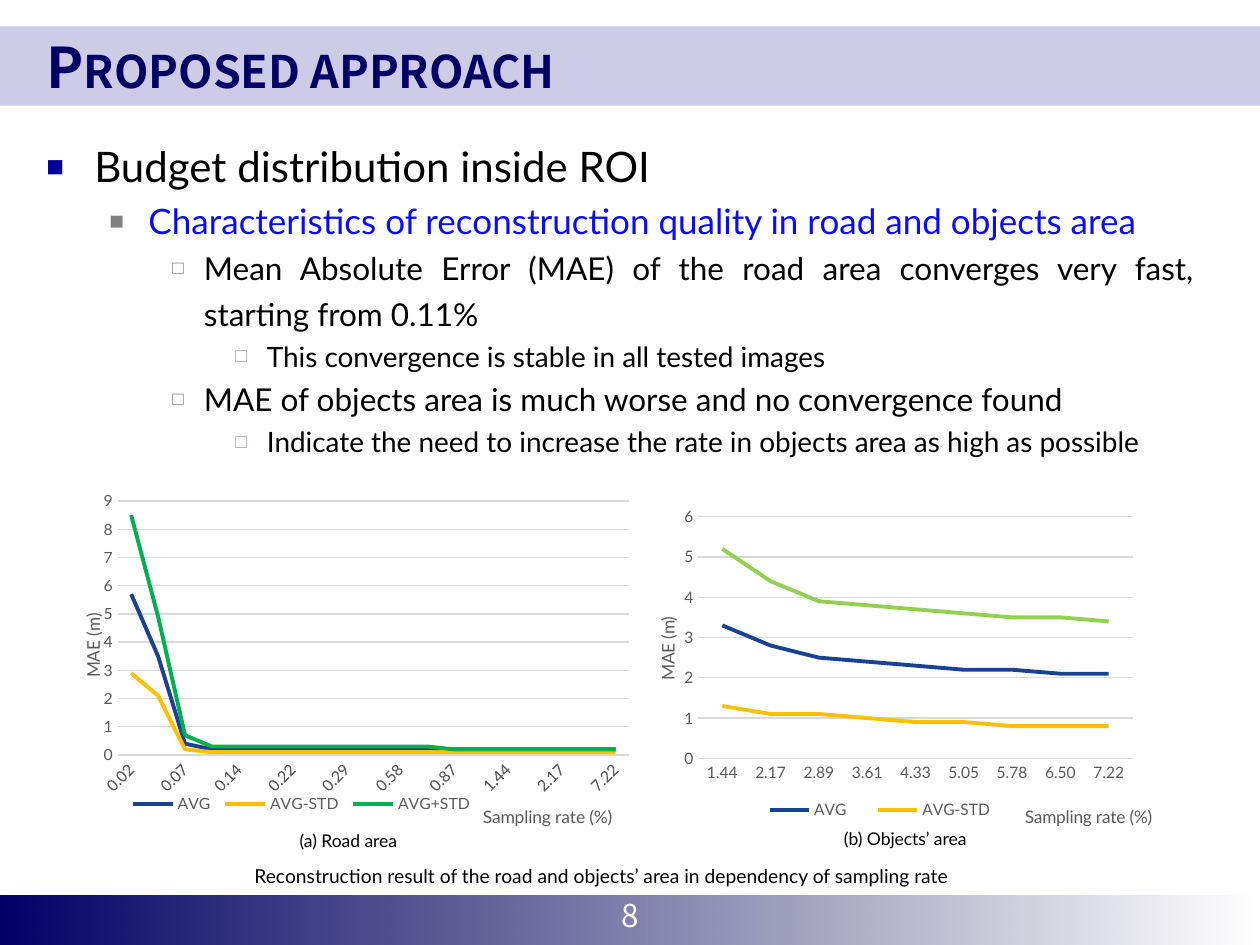
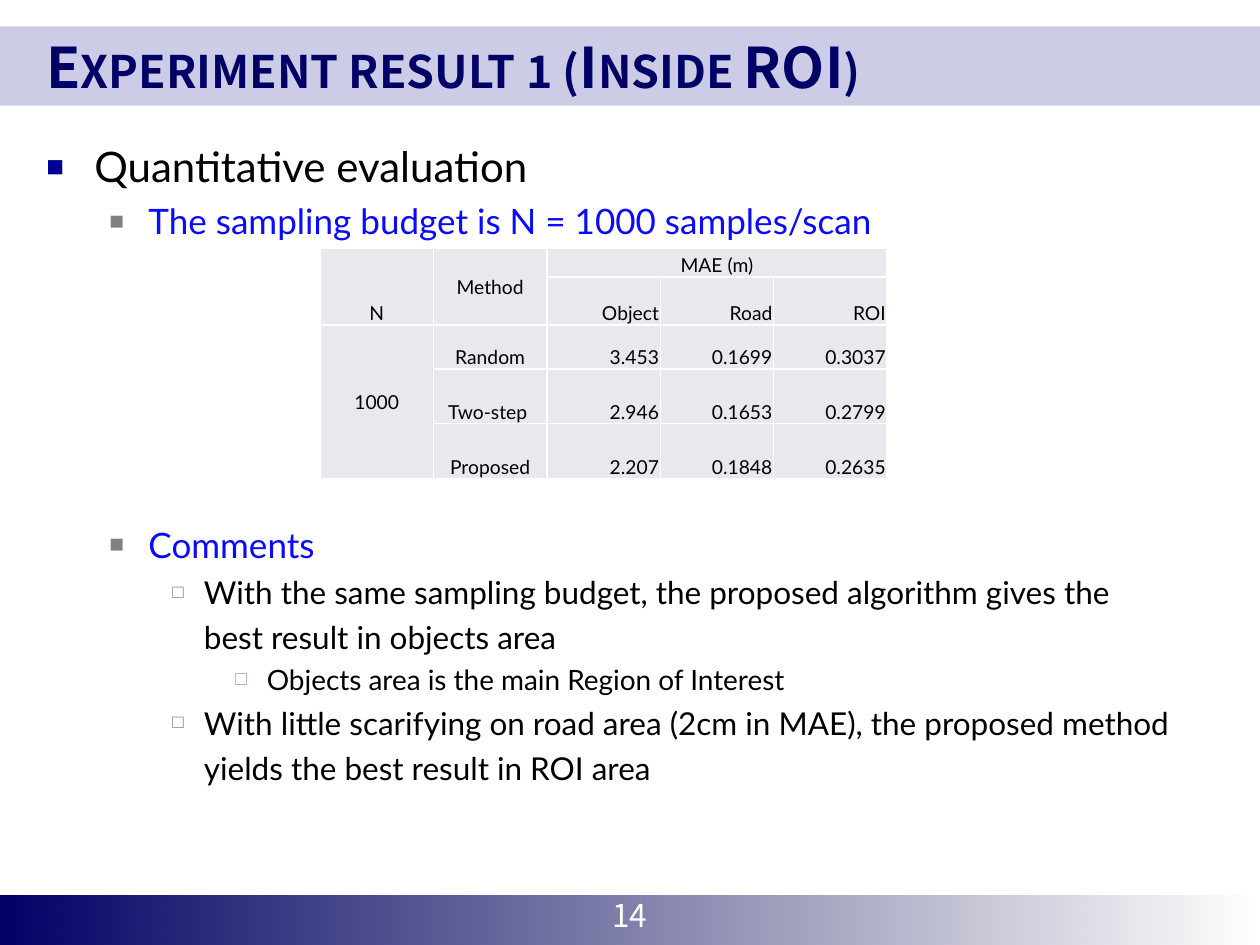
from lxml import etree
from pptx import Presentation
from pptx import util as u
from pptx.chart.data import CategoryChartData
from pptx.dml.color import RGBColor
from pptx.enum import chart as ch, shapes, text
from pptx.oxml.ns import qn

# Colours and fonts
NAVY = RGBColor(0, 0, 0x66)
DEEP = RGBColor(0, 0, 0x49)
MARK = RGBColor(0, 0, 0x99)
BLUE = RGBColor(0x0A, 0x0A, 0xFF)
BAND = RGBColor(0xCC, 0xCC, 0xE6)
LILAC = RGBColor(0x99, 0x99, 0xCC)
GRAY = RGBColor(0x80, 0x80, 0x80)
INK = RGBColor(0x59, 0x59, 0x59)
RULE = RGBColor(0xD9, 0xD9, 0xD9)
CELL = RGBColor(0xE8, 0xE9, 0xEE)
BLACK = RGBColor(0, 0, 0)
WHITE = RGBColor(0xFF, 0xFF, 0xFF)
ROYAL = RGBColor(0x19, 0x42, 0x93)
GOLD = RGBColor(0xFF, 0xC0, 0)
GREEN = RGBColor(0, 0xB0, 0x50)
LIME = RGBColor(0x92, 0xD0, 0x50)
BODY, HEAD = "Lato", "Noto Sans CJK KR"

COLS, ROWS = 100, 75  # grid of the slide
LEFT, MID, RIGHT, JUST = (text.PP_ALIGN.LEFT, text.PP_ALIGN.CENTER,
                          text.PP_ALIGN.RIGHT, text.PP_ALIGN.JUSTIFY)

# Outline levels: indent, hang, bullet, bullet colour, bullet %, size, colour,
# line spacing, space before
LEVELS = [
    (3.8, 3.8, "■", MARK, 70, 24, BLACK, 1.2, 0),
    (8.1, 3.1, "■", GRAY, 70, 20, BLUE, 1.2, 0),
    (12.5, 2.5, "□", GRAY, 60, 18, BLACK, 1.2, 0),
    (17.5, 2.5, "□", LILAC, 70, 16, BLACK, 1.0, 3.8),
]


def sub(node, tag, **attrs):
    return etree.SubElement(node, qn(tag), attrs)


def style(font, size, color, face=BODY, bold=False):
    font.size, font.name, font.bold = u.Pt(size), face, bold
    font.color.rgb = color


def put(para, words, size=11, color=BLACK, face=BODY, bold=False,
        align=LEFT, caps=False):
    """Fill a paragraph with formatted words."""
    para.text = words
    para.alignment = align
    for run in para.runs or [para.add_run()]:
        style(run.font, size, color, face, bold)
        if caps:
            run.font._element.set("cap", "small")


def place(node, x, y, w=None, h=None, inner=False):
    """Set a manual layout, in shares of the chart."""
    for old in node.findall(qn("c:layout")):
        node.remove(old)
    lay = etree.Element(qn("c:layout"))
    man = sub(lay, "c:manualLayout")
    if inner:
        sub(man, "c:layoutTarget", val="inner")
    for key in ("xMode", "yMode"):
        sub(man, "c:" + key, val="edge")
    for key, val in zip("xywh", (x, y, w, h)):
        if val is not None:
            sub(man, "c:" + key, val=str(val))
    over = node.find(qn("c:overlay"))
    if over is None:
        node.insert(0, lay)
    else:
        over.addprevious(lay)


class Deck:
    def __init__(self):
        self.prs = Presentation()
        self.prs.slide_width, self.prs.slide_height = u.Inches(10), u.Inches(7.5)
        self.dx = self.prs.slide_width / COLS
        self.dy = self.prs.slide_height / ROWS

    def box(self, x, y, w, h):
        return (round(x * self.dx), round(y * self.dy),
                round(w * self.dx), round(h * self.dy))

    def rect(self, *at):
        bar = self.page.shapes.add_shape(shapes.MSO_SHAPE.RECTANGLE, *self.box(*at))
        bar.shadow.inherit = False
        bar.line.fill.background()
        return bar.fill

    def frame(self, *at, wrap=True):
        area = self.page.shapes.add_textbox(*self.box(*at)).text_frame
        area.word_wrap = wrap
        return area

    def label(self, words, *at, wrap=False, **fmt):
        area = self.frame(*at, wrap=wrap)
        put(area.paragraphs[0], words, **fmt)
        return area

    def start(self, title, number):
        """Add a slide with its bands, title and page number."""
        self.page = self.prs.slides.add_slide(self.prs.slide_layouts[6])
        top = self.rect(0, 2.1, COLS, 6.3)
        top.solid()
        top.fore_color.rgb = BAND
        foot = self.rect(0, 71.1, COLS, 3.9)
        foot.gradient()
        foot.gradient_angle = 0
        for stop, color, pos in zip(foot.gradient_stops, (NAVY, DEEP), (0, 1)):
            stop.color.rgb, stop.position = color, pos
        sub(stop._gs[0], "a:alpha", val="0")
        self.label(str(number), 0, 70.6, COLS, 4, wrap=True, size=18,
                   color=WHITE, face=HEAD, align=MID)
        head = self.label(title, 2.7, 2.1, 94.5, 6.3, wrap=True, size=32,
                          color=NAVY, face=HEAD, bold=True, caps=True)
        head.vertical_anchor = text.MSO_ANCHOR.MIDDLE

    def outline(self, items, gaps=None, align=LEFT):
        """Write (level, words) items; gaps maps an item to space before."""
        area = self.frame(2.7, 9.9, 94.5, 60)
        for i, (lvl, words) in enumerate(items):
            ind, hang, char, mark, share, size, color, lead, gap = LEVELS[lvl]
            para = area.add_paragraph() if i else area.paragraphs[0]
            put(para, words, size, color, align=align if lvl == 2 else LEFT)
            para.level, para.line_spacing = lvl, lead
            para.space_before = u.Pt((gaps or {}).get(i, gap))
            props = para._p.get_or_add_pPr()
            props.set("marL", str(round(ind * self.dx)))
            props.set("indent", str(round(-hang * self.dx)))
            sub(sub(props, "a:buClr"), "a:srgbClr", val=str(mark))
            sub(props, "a:buSzPct", val=str(share * 1000))
            sub(props, "a:buFont", typeface="Arial")
            sub(props, "a:buChar", char=char)

    def lines(self, at, cats, series, top, plot, key, xname, yname,
              turn=None, hide=None):
        """Add a line chart; series holds (name, values, colour)."""
        data = CategoryChartData()
        data.categories = cats.split()
        for name, vals, _ in series:
            data.add_series(name, vals)
        chart = self.page.shapes.add_chart(
            ch.XL_CHART_TYPE.LINE, *self.box(*at), data).chart
        style(chart.font, 10, BLACK)
        chart.has_title = False
        chart.plots[0].vary_by_categories = False
        place(chart._chartSpace.chart.plotArea, *plot, inner=True)
        for ser, (_, _, color) in zip(chart.plots[0].series, series):
            ser.smooth = False
            ser.format.line.width = u.Pt(2.25)
            ser.format.line.color.rgb = color
            ser.marker.style = ch.XL_MARKER_STYLE.NONE

        # Axes
        cat, val = chart.category_axis, chart.value_axis
        for axis, words, spot in ((cat, "Sampling rate (%)", xname),
                                  (val, "MAE (m)", yname)):
            axis.major_tick_mark = axis.minor_tick_mark = ch.XL_TICK_MARK.NONE
            style(axis.tick_labels.font, 9, INK)
            put(axis.axis_title.text_frame.paragraphs[0], words, 10, INK)
            place(axis.axis_title._element, *spot)
        val.axis_title.text_frame._txBody.find(qn("a:bodyPr")).set("rot", "-5400000")
        val.minimum_scale, val.maximum_scale, val.major_unit = 0, top, 1
        val.format.line.fill.background()
        for line in (cat.format.line, val.major_gridlines.format.line):
            line.width, line.color.rgb = u.Pt(0.75), RULE
        if turn:
            cat._element.find(qn("c:txPr")).find(qn("a:bodyPr")).set(
                "rot", str(turn * 60000))

        # Legend
        chart.has_legend = True
        chart.legend.position = ch.XL_LEGEND_POSITION.BOTTOM
        chart.legend.include_in_layout = False
        style(chart.legend.font, 9, INK)
        node = chart.legend._element
        place(node, *key)
        if hide is not None:
            entry = etree.Element(qn("c:legendEntry"))
            sub(entry, "c:idx", val=str(hide))
            sub(entry, "c:delete", val="1")
            node.find(qn("c:layout")).addprevious(entry)

    def table(self, x, y, wide, highs, rows, spans, mids):
        """Add a table; spans holds merged corners, mids the centred cells."""
        size = len(rows[0])
        grid = self.page.shapes.add_table(
            len(rows), size, *self.box(x, y, wide * size, sum(highs))).table
        grid.first_row = grid.horz_banding = False
        for col in grid.columns:
            col.width = round(wide * self.dx)
        for r, (high, row) in enumerate(zip(highs, rows)):
            grid.rows[r].height = round(high * self.dy)
            for c, words in enumerate(row):
                cell = grid.cell(r, c)
                cell.margin_left = cell.margin_right = cell.margin_top = u.Inches(0.01)
                cell.margin_bottom = 0
                cell.vertical_anchor = (text.MSO_ANCHOR.MIDDLE if (r, c) in mids
                                        else text.MSO_ANCHOR.BOTTOM)
                put(cell.text_frame.paragraphs[0], words,
                    align=RIGHT if r and c > 1 else MID)
                props = cell._tc.get_or_add_tcPr()
                for side in "LRTB":
                    edge = sub(props, "a:ln" + side, w=str(u.Pt(1)))
                    sub(sub(edge, "a:solidFill"), "a:srgbClr", val=str(WHITE))
                cell.fill.solid()
                cell.fill.fore_color.rgb = CELL
        for first, last in spans:
            grid.cell(*first).merge(grid.cell(*last))


def main():
    deck = Deck()

    # Proposed approach: outline, two charts and captions
    deck.start("Proposed approach", 8)
    deck.outline([
        (0, "Budget distribution inside ROI"),
        (1, "Characteristics of reconstruction quality in road and objects area"),
        (2, "Mean Absolute Error (MAE) of the road area converges very fast, \v"
            "starting from 0.11%"),
        (3, "This convergence is stable in all tested images"),
        (2, "MAE of objects area is much worse and no convergence found"),
        (3, "Indicate the need to increase the rate in objects area as high as possible"),
    ], align=JUST)
    deck.label("(a) Road area", 22.8, 65.4, 10.6, 2.7, size=10)
    deck.label("Reconstruction result of the road and objects’ area in "
               "dependency of sampling rate", 19.2, 68.1, 58.5, 2.9)
    deck.label("(b) Objects’ area", 66, 65.2, 12.4, 2.7, size=10)
    deck.lines(
        (5.7, 39, 45.6, 27.1),
        "0.02 0.04 0.07 0.11 0.14 0.18 0.22 0.25 0.29 0.36 0.58 0.72 0.87 "
        "1.08 1.44 1.81 2.17 3.61 7.22",
        [("AVG", [5.7, 3.5, 0.4] + [0.2] * 16, ROYAL),
         ("AVG-STD", [2.9, 2.1, 0.2] + [0.1] * 16, GOLD),
         ("AVG+STD", [8.5, 4.9, 0.7] + [0.3] * 9 + [0.2] * 7, GREEN)],
        top=9, plot=(0.08, 0.02, 0.89, 0.76), key=(0.09, 0.88, 0.62, 0.09),
        xname=(0.71, 0.92), yname=(0.01, 0.35), turn=-45)
    deck.lines(
        (51, 39.7, 40.7, 26.4),
        "1.44 2.17 2.89 3.61 4.33 5.05 5.78 6.50 7.22",
        [("AVG", [3.3, 2.8, 2.5, 2.4, 2.3, 2.2, 2.2, 2.1, 2.1], ROYAL),
         ("AVG-STD", [1.3, 1.1, 1.1, 1, 0.9, 0.9, 0.8, 0.8, 0.8], GOLD),
         ("AVG+STD", [5.2, 4.4, 3.9, 3.8, 3.7, 3.6, 3.5, 3.5, 3.4], LIME)],
        top=6, plot=(0.11, 0.05, 0.86, 0.73), key=(0.2, 0.89, 0.54, 0.09),
        xname=(0.75, 0.91), yname=(0.02, 0.34), hide=2)

    # Experiment result: outline around a table
    deck.start("Experiment result 1 (Inside ROI)", 14)
    deck.outline([
        (0, "Quantitative evaluation"),
        (1, "The sampling budget is N = 1000 samples/scan"),
        (1, "Comments"),
        (2, "With the same sampling budget, the proposed algorithm gives the \v"
            "best result in objects area"),
        (3, "Objects area is the main Region of Interest"),
        (2, "With little scarifying on road area (2cm in MAE), the proposed method \v"
            "yields the best result in ROI area"),
    ], gaps={2: 156})
    deck.table(
        25.4, 19.7, 9, (2.3, 3.8, 3.5, 4.3, 4.4),
        [("N", "Method", "MAE (m)", "", ""),
         ("", "", "Object", "Road", "ROI"),
         ("1000", "Random", "3.453", "0.1699", "0.3037"),
         ("", "Two-step ", "2.946", "0.1653", "0.2799"),
         ("", "Proposed", "2.207", "0.1848", "0.2635")],
        spans=[((0, 0), (1, 0)), ((0, 1), (1, 1)), ((0, 2), (0, 4)),
               ((2, 0), (4, 0))],
        mids=[(0, 1), (2, 0)])

    deck.prs.save("out.pptx")


if __name__ == "__main__":
    main()
